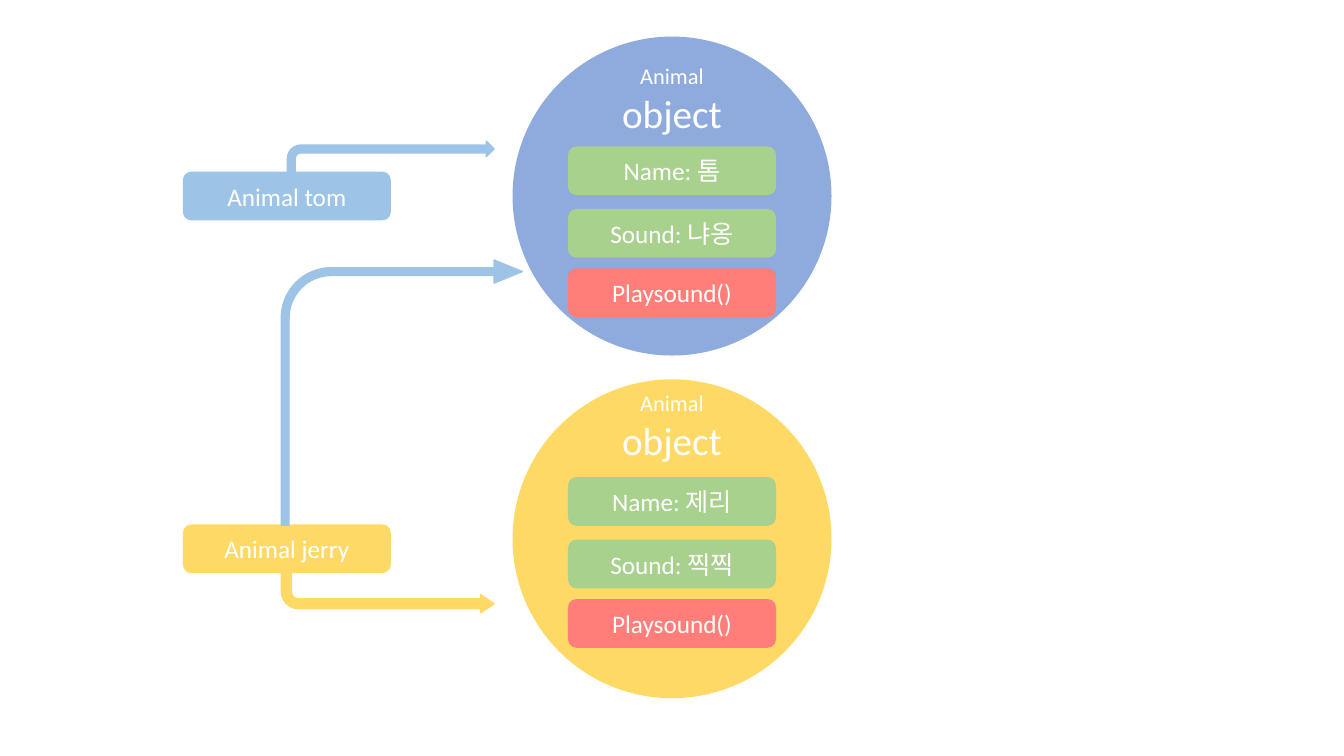
from dataclasses import dataclass

from pptx import Presentation
from pptx.dml.color import RGBColor
from pptx.enum.shapes import MSO_SHAPE as Kind
from pptx.enum.text import MSO_ANCHOR as Anchor, MSO_AUTO_SIZE as Fit, PP_ALIGN as Align
from pptx.shapes.autoshape import Shape
from pptx.slide import Slide
from pptx.text.text import TextFrame
from pptx.util import Inches, Pt


@dataclass(frozen=True)
class Theme:
    font: str = "Calibri"
    white: str = "FFFFFF"
    blue: str = "8FAADC"
    sky: str = "9DC3E6"
    gold: str = "FFD966"
    green: str = "A9D18E"
    red: str = "FF7E79"
    small: int = 16
    body: int = 18
    large: int = 28


@dataclass(frozen=True)
class Box:
    left: float
    top: float
    width: float
    height: float


@dataclass(frozen=True)
class Pet:
    top: float
    head: float
    row: float
    fill: str
    name: str
    sound: str


@dataclass(frozen=True)
class Label:
    top: float
    text: str
    fill: str


@dataclass(frozen=True)
class Arrow:
    box: Box
    fill: str
    adj: tuple[float, ...] = ()
    down: bool = False


THEME = Theme()
DISC = 3.15
BAR_W, BAR_H = 2.05, 0.47
STEPS = (0, 0.62, 1.21)

PETS = (
    Pet(0.37, 0.57, 1.46, THEME.blue, "톰", "냐옹"),
    Pet(3.77, 3.81, 4.74, THEME.gold, "제리", "찍찍"),
)
LABELS = (
    Label(1.71, "Animal tom", THEME.sky),
    Label(5.21, "Animal jerry", THEME.gold),
)
ARROWS = (
    Arrow(Box(2.85, 1.4, 2.05, 0.31), THEME.sky),
    Arrow(Box(2.79, 2.58, 2.39, 2.63), THEME.sky, (0.032, 0.048, 0.117, 0.208)),
    Arrow(Box(2.79, 5.69, 2.11, 0.39), THEME.gold, (0.25, 0.231, 0.344, 0.438), True),
)


def place(box: Box) -> tuple[Inches, ...]:
    return tuple(Inches(v) for v in (box.left, box.top, box.width, box.height))


def write(frame: TextFrame, lines: tuple[tuple[str, int], ...]) -> None:
    frame.word_wrap = True
    for i, (text, size) in enumerate(lines):
        para = frame.add_paragraph() if i else frame.paragraphs[0]
        para.alignment = Align.CENTER
        run = para.add_run()
        run.text = text
        run.font.name = THEME.font
        run.font.size = Pt(size)
        run.font.color.rgb = RGBColor.from_string(THEME.white)


def draw(slide: Slide, kind: Kind, box: Box, fill: str) -> Shape:
    shape = slide.shapes.add_shape(kind, *place(box))
    shape.shadow.inherit = False
    color = RGBColor.from_string(fill)
    shape.fill.solid()
    shape.fill.fore_color.rgb = color
    shape.line.color.rgb = color
    shape.line.width = Pt(1)
    return shape


def add_bar(slide: Slide, left: float, top: float, text: str, fill: str) -> None:
    bar = draw(slide, Kind.ROUNDED_RECTANGLE, Box(left, top, BAR_W, BAR_H), fill)
    bar.text_frame.vertical_anchor = Anchor.MIDDLE
    write(bar.text_frame, ((text, THEME.body),))


def add_pet(slide: Slide, pet: Pet) -> None:
    draw(slide, Kind.OVAL, Box(5.09, pet.top, DISC, DISC), pet.fill)
    head = slide.shapes.add_textbox(*place(Box(5.95, pet.head, 1.43, 0.84)))
    write(head.text_frame, (("Animal", THEME.small), ("object", THEME.large)))
    head.text_frame.auto_size = Fit.SHAPE_TO_FIT_TEXT
    rows = (
        (f"Name: {pet.name}", THEME.green),
        (f"Sound: {pet.sound}", THEME.green),
        ("Playsound()", THEME.red),
    )
    for step, (text, fill) in zip(STEPS, rows):
        add_bar(slide, 5.64, pet.row + step, text, fill)


def add_arrow(slide: Slide, arrow: Arrow) -> None:
    shape = draw(slide, Kind.BENT_ARROW, arrow.box, arrow.fill)
    for i, value in enumerate(arrow.adj):
        shape.adjustments[i] = value
    if arrow.down:
        shape.rotation = 180
        shape.element.spPr.xfrm.set("flipH", "1")


def main() -> None:
    deck = Presentation()
    deck.slide_width, deck.slide_height = Inches(13.33), Inches(7.5)
    slide = deck.slides.add_slide(deck.slide_layouts[6])

    # Objects with their fields and method
    for pet in PETS:
        add_pet(slide, pet)

    # Variables
    for label in LABELS:
        add_bar(slide, 1.82, label.top, label.text, label.fill)

    # References from variables to objects
    for arrow in ARROWS:
        add_arrow(slide, arrow)

    deck.save("out.pptx")


if __name__ == "__main__":
    main()
